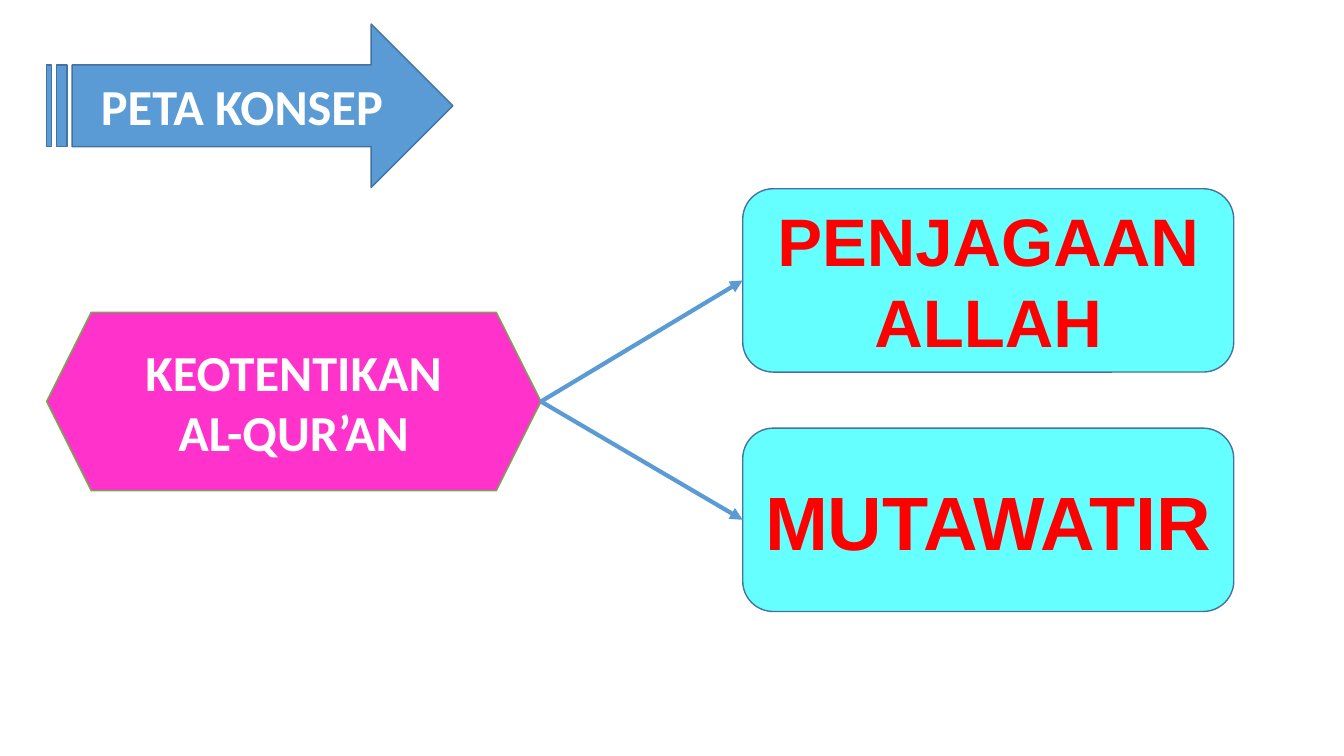
from pptx import Presentation
from pptx import util as u
from pptx.dml import color
from pptx.enum import shapes, text
from pptx.oxml import ns
from lxml import etree

SHAPE = shapes.MSO_SHAPE


def rgb(value):
    return color.RGBColor.from_string(value)


def write_text(shape, content, font="Calibri", size=36, ink="FFFFFF"):
    frame = shape.text_frame
    frame.word_wrap = True
    frame.vertical_anchor = text.MSO_ANCHOR.MIDDLE
    paragraph = frame.paragraphs[0]
    paragraph.alignment = text.PP_ALIGN.CENTER
    run = paragraph.add_run()
    run.text = content
    run.font.name = font
    run.font.size = u.Pt(size)
    run.font.bold = True
    run.font.color.rgb = rgb(ink)


class ConceptMap:
    blue, outline = "5B9BD5", "43739E"
    cyan, red = "66FFFF", "FF0000"
    pink, green = "FF33CC", "70AD47"

    def __init__(self, slide):
        self.slide = slide

    def block(self, kind, left, top, width, height, fill, line):
        shape = self.slide.shapes.add_shape(
            kind, u.Pt(left), u.Pt(top), u.Pt(width), u.Pt(height))
        shape.shadow.inherit = False
        shape.fill.solid()
        shape.fill.fore_color.rgb = rgb(fill)
        shape.line.color.rgb = rgb(line)
        shape.line.width = u.Pt(1)
        return shape

    def arrow(self, source, target):
        connector = self.slide.shapes.add_connector(
            shapes.MSO_CONNECTOR.STRAIGHT,
            source.left + source.width, source.top + source.height // 2,
            target.left, target.top + target.height // 2)
        connector.end_connect(target, 1)
        connector.line.color.rgb = rgb(self.blue)
        connector.line.width = u.Pt(3)
        line = connector.line._get_or_add_ln()
        etree.SubElement(line, ns.qn("a:tailEnd"), type="triangle")
        etree.SubElement(line.getparent(), ns.qn("a:effectLst"))


def main():
    presentation = Presentation()
    presentation.slide_width = u.Pt(960)
    presentation.slide_height = u.Pt(540)
    slide = presentation.slides.add_slide(presentation.slide_layouts[6])
    concept_map = ConceptMap(slide)

    heading = concept_map.block(SHAPE.STRIPED_RIGHT_ARROW, 33.3, 17.2, 290.2, 116.8,
                                concept_map.blue, concept_map.outline)
    write_text(heading, "PETA KONSEP")

    topic = concept_map.block(SHAPE.HEXAGON, 33.3, 223, 353.1, 127.6,
                              concept_map.pink, concept_map.green)
    write_text(topic, "KEOTENTIKAN AL-QUR’AN")

    branches = [("PENJAGAAN ALLAH", 48), ("MUTAWATIR", 54)]
    for row, (content, size) in enumerate(branches):
        branch = concept_map.block(SHAPE.ROUNDED_RECTANGLE, 530.5, 134.8 + row * 171,
                                   350.8, 131, concept_map.cyan, concept_map.outline)
        write_text(branch, content, font="Arial", size=size, ink=concept_map.red)
        concept_map.arrow(topic, branch)

    presentation.save("out.pptx")


if __name__ == "__main__":
    main()
